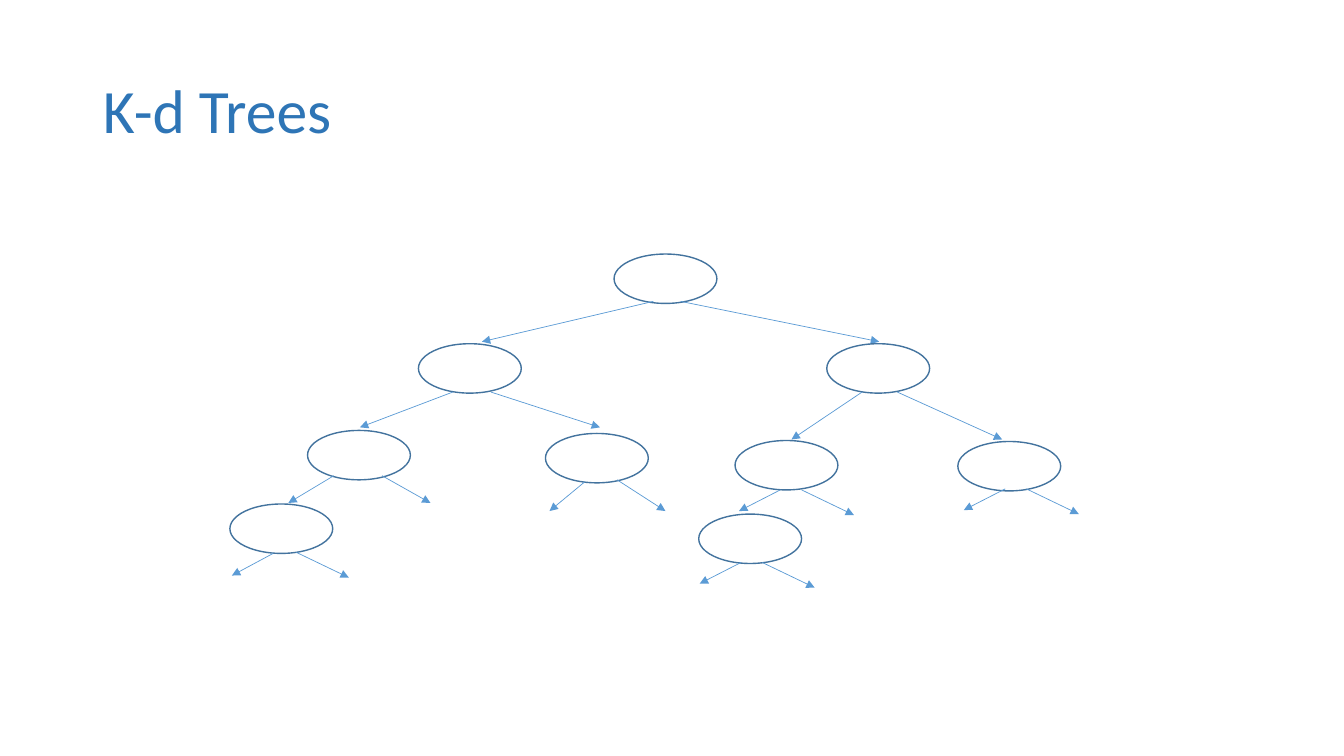
from dataclasses import dataclass

from lxml.etree import SubElement
from pptx import Presentation
from pptx.dml.color import RGBColor
from pptx.enum.shapes import MSO_CONNECTOR as Connector, MSO_SHAPE as Shape
from pptx.enum.text import MSO_ANCHOR as Anchor, MSO_AUTO_SIZE as AutoSize, PP_ALIGN as Align
from pptx.oxml.ns import qn
from pptx.util import Pt

# Content: each node has its top-left corner and the ends of its two arrows
TITLE = "K-d Trees"
TREE_NODES = [
    # corner, (left arrow start, end), (right arrow start, end)
    ((609, 252), ((648, 299), (478, 339)), ((675, 299), (872, 339))),
    ((415, 341), ((449, 389), (357, 424)), ((487, 389), (595, 424))),
    ((820, 341), ((855, 389), (785, 436)), ((890, 389), (994, 436))),
    ((305, 427), ((331, 472), (286, 499)), ((379, 472), (427, 499))),
    ((541, 430), ((580, 478), (545, 507)), ((612, 476), (660, 507))),
    ((729, 437), ((774, 486), (733, 507)), ((795, 486), (847, 511))),
    ((950, 438), ((997, 485), (956, 506)), ((1018, 485), (1070, 510))),
    ((228, 500), ((271, 549), (230, 571)), ((294, 548), (346, 573))),
    ((693, 510), ((735, 558), (694, 579)), ((756, 558), (808, 583))),
]

# Geometry
EMU_PER_PX = 9144
SLIDE_SIZE = (1333, 750)
TITLE_BOX = (92, 40, 1150, 145)
NODE_SIZE = (102, 49)


@dataclass(frozen=True)
class Theme:
    font: str = "Calibri"
    title_size: int = 44
    title_color: str = "2E75B6"
    node_line: str = "43739E"
    node_width: float = 1
    arrow_line: str = "5B9BD5"
    arrow_width: float = 0.5


THEME = Theme()


def px(*lengths):
    return [length * EMU_PER_PX for length in lengths]


def style_line(line, color, width):
    line.color.rgb = RGBColor.from_string(color)
    line.width = Pt(width)


def add_title(slide):
    title = slide.shapes.title
    title.left, title.top, title.width, title.height = px(*TITLE_BOX)
    frame = title.text_frame
    frame.text = TITLE
    frame.auto_size = AutoSize.NONE
    frame.vertical_anchor = Anchor.MIDDLE
    paragraph = frame.paragraphs[0]
    paragraph.alignment = Align.LEFT
    paragraph.line_spacing = 0.9
    font = paragraph.runs[0].font
    font.name = THEME.font
    font.size = Pt(THEME.title_size)
    font.color.rgb = RGBColor.from_string(THEME.title_color)


def add_node(slide, corner):
    node = slide.shapes.add_shape(Shape.OVAL, *px(*corner, *NODE_SIZE))
    node.shadow.inherit = False
    node.fill.background()
    style_line(node.line, THEME.node_line, THEME.node_width)


def add_arrow(slide, start, end):
    arrow = slide.shapes.add_connector(Connector.STRAIGHT, *px(*start, *end))
    style_line(arrow.line, THEME.arrow_line, THEME.arrow_width)
    properties = arrow._element.spPr
    SubElement(properties.find(qn("a:ln")), qn("a:tailEnd"), type="triangle")
    SubElement(properties, qn("a:effectLst"))


def main():
    presentation = Presentation()
    presentation.slide_width, presentation.slide_height = px(*SLIDE_SIZE)
    slide = presentation.slides.add_slide(presentation.slide_layouts.get_by_name("Title Only"))
    add_title(slide)

    # Tree
    for corner, *arrows in TREE_NODES:
        add_node(slide, corner)
        for start, end in arrows:
            add_arrow(slide, start, end)

    presentation.save("out.pptx")


if __name__ == "__main__":
    main()
